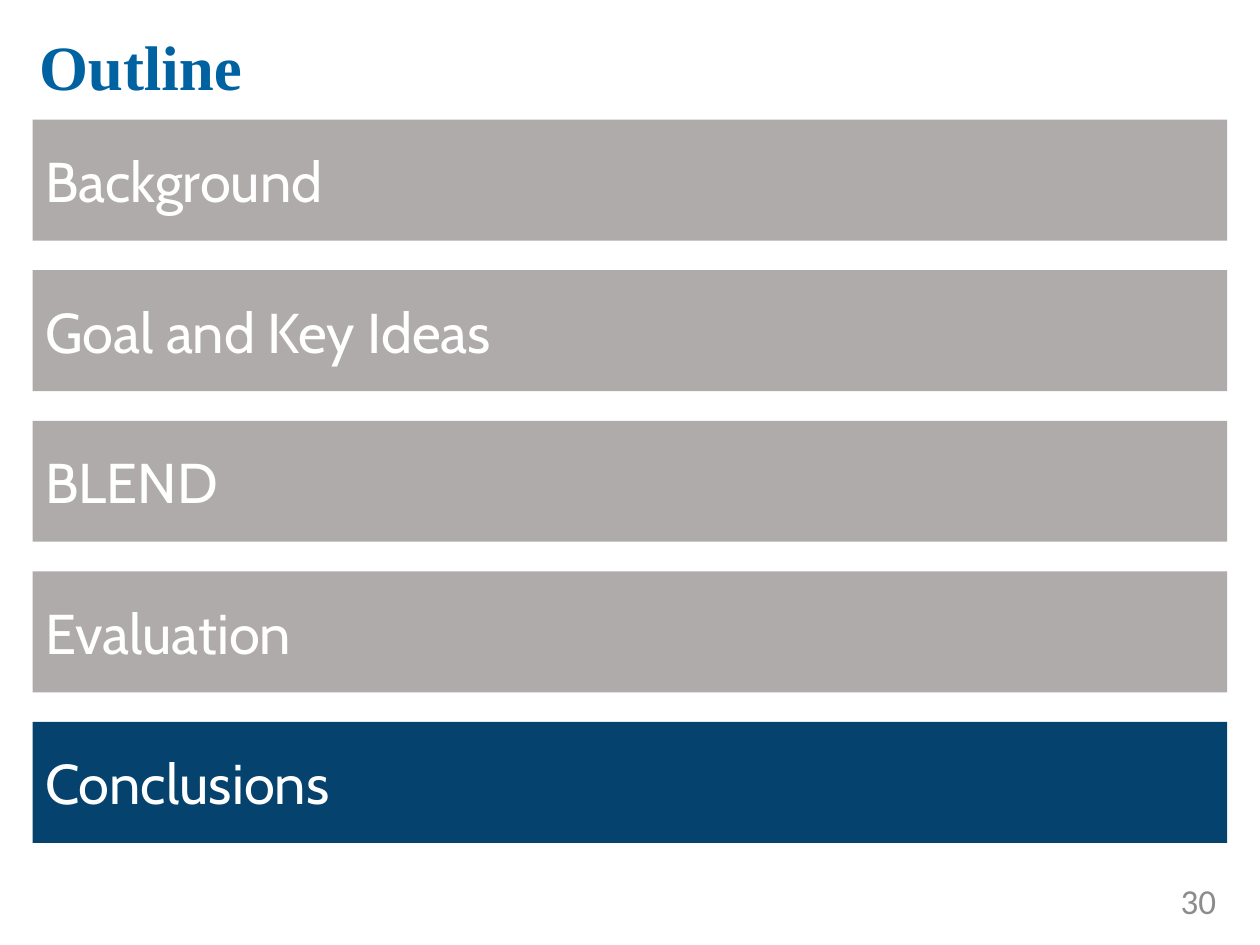
import pptx
import pptx.util
import pptx.dml.color
import pptx.enum.shapes
import pptx.enum.text

Inches = pptx.util.Inches
RGBColor = pptx.dml.color.RGBColor
Align = pptx.enum.text.PP_ALIGN

TITLE = "Outline"
SECTIONS = ["Background", "Goal and Key Ideas", "BLEND", "Evaluation", "Conclusions"]
CURRENT_SECTION = "Conclusions"
PAGE_NUMBER = "30"

TITLE_BLUE = RGBColor(0x00, 0x62, 0xA0)
CURRENT_BLUE = RGBColor(0x05, 0x43, 0x6E)
BAR_GRAY = RGBColor(0xAF, 0xAB, 0xAB)
NUMBER_GRAY = RGBColor(0x8C, 0x8C, 0x8C)
WHITE = RGBColor(0xFF, 0xFF, 0xFF)

BAR_LEFT, BAR_TOP, BAR_WIDTH, BAR_HEIGHT = 0.26, 0.95, 9.48, 0.96
BAR_STEP = 1.195


def write_text(shape, text, font_name, size, color, alignment=Align.LEFT, bold=False):
    text_frame = shape.text_frame
    text_frame.text = text
    text_frame.word_wrap = True
    text_frame.auto_size = pptx.enum.text.MSO_AUTO_SIZE.NONE
    text_frame.vertical_anchor = pptx.enum.text.MSO_ANCHOR.MIDDLE
    paragraph = text_frame.paragraphs[0]
    paragraph.alignment = alignment
    font = paragraph.runs[0].font
    font.name = font_name
    font.size = pptx.util.Pt(size)
    font.bold = bold
    font.color.rgb = color


def add_section_bar(slide, index, section):
    bar = slide.shapes.add_shape(
        pptx.enum.shapes.MSO_SHAPE.RECTANGLE,
        Inches(BAR_LEFT), Inches(BAR_TOP + index * BAR_STEP),
        Inches(BAR_WIDTH), Inches(BAR_HEIGHT),
    )
    bar.shadow.inherit = False
    bar.fill.solid()
    bar.fill.fore_color.rgb = CURRENT_BLUE if section == CURRENT_SECTION else BAR_GRAY
    bar.line.fill.background()
    write_text(bar, section, "Cabin", 32, WHITE)


def main():
    presentation = pptx.Presentation()
    presentation.slide_width = Inches(10)
    presentation.slide_height = Inches(7.5)
    slide = presentation.slides.add_slide(presentation.slide_layouts[5])

    title = slide.shapes.title
    title.left, title.top = Inches(0.21), Inches(0.1)
    title.width, title.height = Inches(9.62), Inches(0.84)
    write_text(title, TITLE, "Times New Roman", 36, TITLE_BLUE, bold=True)
    title.text_frame.paragraphs[0].space_after = pptx.util.Pt(6)

    for index, section in enumerate(SECTIONS):
        add_section_bar(slide, index, section)

    number_box = slide.shapes.add_textbox(
        Inches(8.67), Inches(6.95), Inches(1.08), Inches(0.4))
    write_text(number_box, PAGE_NUMBER, "Calibri", 20, NUMBER_GRAY, Align.RIGHT)

    presentation.save("out.pptx")


if __name__ == "__main__":
    main()
